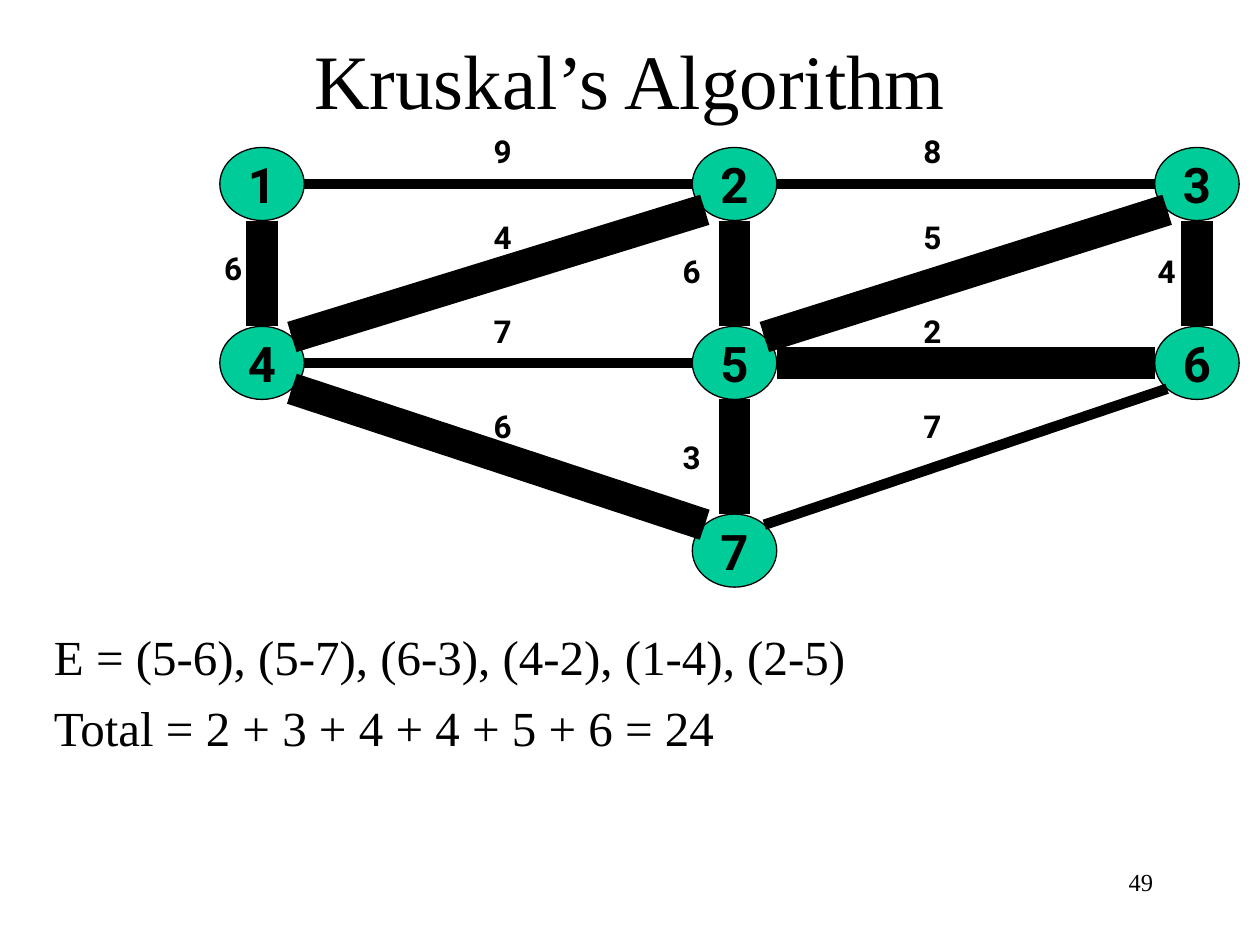
from dataclasses import dataclass
from math import hypot

from lxml import etree
from pptx import Presentation
from pptx.dml.color import RGBColor
from pptx.enum import shapes, text
from pptx.oxml import ns
from pptx.util import Inches, Pt


@dataclass(frozen=True)
class Theme:
    ink: RGBColor = RGBColor(0x00, 0x00, 0x00)
    node_fill: RGBColor = RGBColor(0x00, 0xCC, 0x99)
    serif: str = "Times New Roman"
    sans: str = "Roboto"
    title: int = 44
    body: int = 28
    node: int = 28
    weight: int = 18
    number: int = 14
    outline: float = 0.75
    thin: int = 6
    thick: int = 18


@dataclass(frozen=True)
class Node:
    name: str
    x: float
    y: float


@dataclass(frozen=True)
class Edge:
    start: int
    end: int
    weight: int
    label_x: float
    label_y: float
    chosen: bool = False


THEME = Theme()
NODE_W, NODE_H = 0.67, 0.58
LABEL_W, LABEL_H = 0.34, 0.4

# Node centres: three columns, three rows
COLS = (2.08, 5.83, 9.5)
ROWS = (1.46, 2.88, 4.37)
CELLS = ((0, 0), (1, 0), (2, 0), (0, 1), (1, 1), (2, 1), (1, 2))
NODES = {i: Node(str(i), COLS[c], ROWS[r])
         for i, (c, r) in enumerate(CELLS, start=1)}

# Edges with weights; the chosen ones are drawn thick
LEFT, RIGHT = 3.82, 7.23
EDGES = (
    Edge(1, 2, 9, LEFT, 1),
    Edge(2, 3, 8, RIGHT, 1),
    Edge(1, 4, 6, 1.68, 1.93, True),
    Edge(4, 5, 7, LEFT, 2.43),
    Edge(5, 2, 6, 5.32, 1.95, True),
    Edge(5, 6, 2, RIGHT, 2.43, True),
    Edge(6, 3, 4, 9.09, 1.95, True),
    Edge(5, 7, 3, 5.32, 3.43, True),
    Edge(4, 7, 6, LEFT, 3.18, True),
    Edge(4, 2, 4, LEFT, 1.68, True),
    Edge(5, 3, 5, RIGHT, 1.68, True),
    Edge(7, 6, 7, RIGHT, 3.18),
)


def write(tf, *lines: str, size: float, font: str, bold: bool = False,
          align=text.PP_ALIGN.LEFT, anchor=text.MSO_ANCHOR.TOP,
          wrap: bool = True, gap: float = 0) -> None:
    """Fill a text frame, one paragraph per line."""
    tf.word_wrap = wrap
    tf.vertical_anchor = anchor
    for i, line in enumerate(lines):
        p = tf.add_paragraph() if i else tf.paragraphs[0]
        p.alignment = align
        if i:
            p.space_before = Pt(gap)
        r = p.add_run()
        r.text = line
        r.font.size = Pt(size)
        r.font.name = font
        r.font.bold = bold
        r.font.color.rgb = THEME.ink


def add_text(s, x: float, y: float, w: float, h: float, *lines: str, **fmt):
    sp = s.shapes.add_textbox(Inches(x), Inches(y), Inches(w), Inches(h))
    write(sp.text_frame, *lines, **fmt)
    return sp


def draw_node(s, node: Node) -> None:
    sp = s.shapes.add_shape(
        shapes.MSO_SHAPE.OVAL,
        Inches(node.x - NODE_W / 2), Inches(node.y - NODE_H / 2),
        Inches(NODE_W), Inches(NODE_H))
    sp.shadow.inherit = False
    sp.fill.solid()
    sp.fill.fore_color.rgb = THEME.node_fill
    sp.line.color.rgb = THEME.ink
    sp.line.width = Pt(THEME.outline)
    write(sp.text_frame, node.name, size=THEME.node, font=THEME.sans, bold=True,
          align=text.PP_ALIGN.CENTER, anchor=text.MSO_ANCHOR.MIDDLE, wrap=False)


def sign(value: float) -> int:
    return (value > 0) - (value < 0)


def rim_point(node: Node, toward: Node) -> tuple[float, float]:
    """Point on the oval, at the eighth of a turn that faces the other node."""
    dx, dy = sign(toward.x - node.x), sign(toward.y - node.y)
    length = hypot(dx, dy)
    return (node.x + dx / length * NODE_W / 2,
            node.y + dy / length * NODE_H / 2)


def draw_edge(s, edge: Edge, width: float) -> None:
    a, b = NODES[edge.start], NODES[edge.end]
    ends = (*rim_point(a, b), *rim_point(b, a))
    line = s.shapes.add_connector(shapes.MSO_CONNECTOR.STRAIGHT,
                                  *(Inches(v) for v in ends))
    line.line.color.rgb = THEME.ink
    line.line.width = Pt(width)
    etree.SubElement(line._element.spPr, ns.qn("a:effectLst"))


def draw_weight(s, edge: Edge) -> None:
    sp = add_text(s, edge.label_x, edge.label_y, LABEL_W, LABEL_H,
                  str(edge.weight), size=THEME.weight, font=THEME.sans,
                  bold=True, wrap=False)
    sp.text_frame.auto_size = text.MSO_AUTO_SIZE.SHAPE_TO_FIT_TEXT


def main() -> None:
    prs = Presentation()
    prs.slide_width, prs.slide_height = Inches(10), Inches(7.5)
    s = prs.slides.add_slide(prs.slide_layouts[6])

    # Title and result
    add_text(s, 0.33, 0, 9.34, 1.25, "Kruskal’s Algorithm",
             size=THEME.title, font=THEME.serif,
             align=text.PP_ALIGN.CENTER, anchor=text.MSO_ANCHOR.MIDDLE)
    add_text(s, 0.33, 4.92, 9.34, 2.25,
             "E = (5-6), (5-7), (6-3), (4-2), (1-4), (2-5)",
             "Total = 2 + 3 + 4 + 4 + 5 + 6 = 24",
             size=THEME.body, font=THEME.serif, gap=7)

    # Graph
    for node in NODES.values():
        draw_node(s, node)
    for edge in EDGES:
        draw_edge(s, edge, THEME.thin)
    for edge in EDGES:
        draw_weight(s, edge)

    # Chosen edges on top
    for edge in EDGES:
        if edge.chosen:
            draw_edge(s, edge, THEME.thick)

    # Slide number
    add_text(s, 7.17, 6.83, 2.08, 0.5, "49", size=THEME.number,
             font=THEME.serif, align=text.PP_ALIGN.RIGHT)

    prs.save("out.pptx")


if __name__ == "__main__":
    main()
